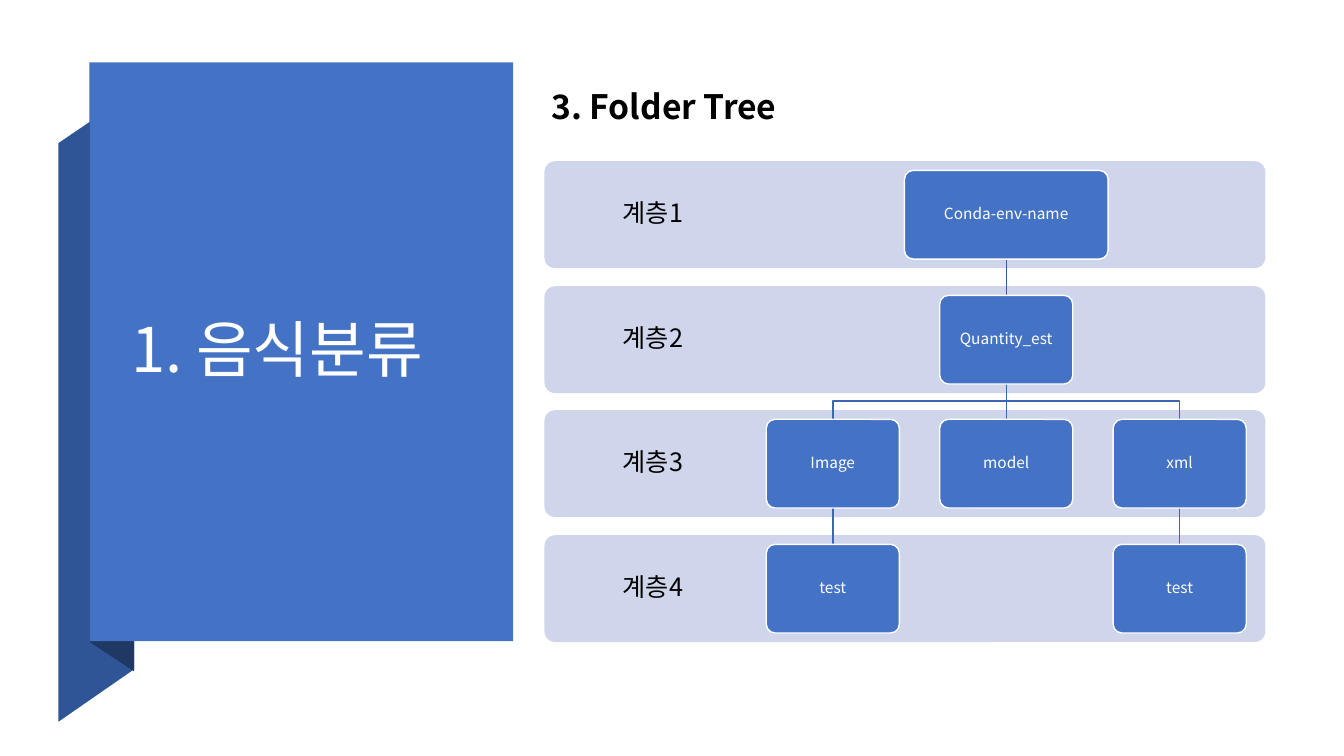
from lxml import etree
from pptx import Presentation
from pptx.dml.color import RGBColor
from pptx.enum.shapes import MSO_CONNECTOR, MSO_SHAPE
from pptx.enum.text import MSO_ANCHOR, MSO_AUTO_SIZE, PP_ALIGN
from pptx.oxml.ns import qn
from pptx.util import Pt

PX = 9144
FONT = "Noto Sans CJK KR"
RECTANGLE, ROUNDED = MSO_SHAPE.RECTANGLE, MSO_SHAPE.ROUNDED_RECTANGLE
STRAIGHT = MSO_CONNECTOR.STRAIGHT
LEFT, CENTER = PP_ALIGN.LEFT, PP_ALIGN.CENTER
MIDDLE, TOP = MSO_ANCHOR.MIDDLE, MSO_ANCHOR.TOP
NO_AUTOFIT = MSO_AUTO_SIZE.NONE

BLUE, WHITE, BLACK, BAND = "4472C4", "FFFFFF", "000000", "CFD5EA"
ROOT_LINK, LINK = "365B9D", "3E67B2"
NODE_HEIGHT = 88
NODES = {
    "root": ("Conda-env-name", 0, 0, 202, None),
    "quantity": ("Quantity_est", 1, 0, 132, "root"),
    "image": ("Image", 2, -1, 132, "quantity"),
    "model": ("model", 2, 0, 132, "quantity"),
    "xml": ("xml", 2, 1, 132, "quantity"),
    "image test": ("test", 3, -1, 132, "image"),
    "xml test": ("test", 3, 1, 132, "xml"),
}


def color(value):
    """Turn a hex string into a colour."""
    return RGBColor.from_string(value)


def scaled(*lengths):
    """Turn px lengths into EMU."""
    return [length * PX for length in lengths]


def band_top(level):
    """Return the top of the band for a level."""
    return round(160 + level * 371 / 3)


def node_place(name):
    """Return the centre and top of a node."""
    _, level, column, _, _ = NODES[name]
    return 998 + 172 * column, band_top(level) + 9


def write(shape, text, size, ink, align=CENTER, anchor=MIDDLE,
          margins=(10, 5, 10, 5), spacing=0.9, bold=False):
    """Put one formatted paragraph into a shape."""
    frame = shape.text_frame
    frame.word_wrap = True
    frame.auto_size = NO_AUTOFIT
    frame.vertical_anchor = anchor
    (frame.margin_left, frame.margin_top,
     frame.margin_right, frame.margin_bottom) = scaled(*margins)
    para = frame.paragraphs[0]
    para.text = text
    para.alignment = align
    para.line_spacing = spacing
    font = para.font
    font.size, font.bold, font.name = Pt(size), bold, FONT
    font.color.rgb = color(ink)
    latin = para._p.find(".//" + qn("a:latin"))
    east_asian = etree.Element(qn("a:ea"), typeface=FONT)
    latin.addnext(east_asian)


def add_panel(page, kind, place, fill, outline=None):
    """Add a filled preset shape."""
    shape = page.shapes.add_shape(kind, *scaled(*place))
    shape.shadow.inherit = False
    shape.fill.solid()
    shape.fill.fore_color.rgb = color(fill)
    if kind == ROUNDED:
        shape.adjustments[0] = 0.1
    if outline:
        shape.line.color.rgb = color(outline)
        shape.line.width = Pt(1)
    else:
        shape.line.fill.background()
    return shape


def add_outline(page, points, closed):
    """Add a freeform through the given points."""
    builder = page.shapes.build_freeform(*points[0], scale=PX)
    builder.add_line_segments(points[1:], close=closed)
    shape = builder.convert_to_shape()
    shape.shadow.inherit = False
    return shape


def add_fold(page, points, fill):
    """Add one folded face of the ribbon."""
    shape = add_outline(page, points, True)
    shape.fill.solid()
    shape.fill.fore_color.rgb = color(fill)
    shape.line.fill.background()


def add_link(page, parent, child):
    """Join a parent node to its child."""
    start_x, start_y = node_place(parent)
    end_x, end_y = node_place(child)
    start_y += NODE_HEIGHT
    if start_x == end_x:
        link = page.shapes.add_connector(
            STRAIGHT, *scaled(start_x, start_y, end_x, end_y))
        etree.SubElement(link._element.spPr, qn("a:effectLst"))
    else:
        middle = (start_y + end_y) // 2
        link = add_outline(page, [(start_x, start_y), (start_x, middle),
                                  (end_x, middle), (end_x, end_y)], False)
        link.fill.background()
    link.line.color.rgb = color(ROOT_LINK if parent == "root" else LINK)
    link.line.width = Pt(1)


def add_node(page, name):
    """Add a folder box of the tree."""
    text, _, _, width, _ = NODES[name]
    center, top = node_place(name)
    place = (center - width // 2, top, width, NODE_HEIGHT)
    node = add_panel(page, ROUNDED, place, BLUE, WHITE)
    write(node, text, 11, WHITE, margins=(8, 8, 8, 8))


def add_title(page, text):
    """Set the title in front of the ribbon."""
    title = page.shapes.title
    title.left, title.top, title.width, title.height = scaled(120, 97, 353, 506)
    write(title, text, 44, WHITE, align=LEFT)
    title._element.getparent().append(title._element)


def main():
    """Build the slide and save it."""
    deck = Presentation()
    deck.slide_width, deck.slide_height = scaled(1333, 750)
    page = deck.slides.add_slide(deck.slide_layouts[5])

    add_fold(page, [(58, 716), (133, 664), (133, 91), (58, 142)], "2F5597")
    add_fold(page, [(89, 637), (133, 666), (133, 90), (89, 62)], "203864")
    add_panel(page, RECTANGLE, (89, 62, 420, 574), BLUE)
    add_title(page, "1. 음식분류")

    for level in range(4):
        band = add_panel(page, ROUNDED, (540, band_top(level), 715, 106), BAND)
        write(band, f"계층{level + 1}", 18, BLACK, margins=(14, 14, 514, 14))
    for name, (_, _, _, _, parent) in NODES.items():
        if parent:
            add_link(page, parent, name)
    for name in NODES:
        add_node(page, name)

    heading = page.shapes.add_textbox(*scaled(537, 80, 543, 50))
    write(heading, "3. Folder Tree", 24, BLACK, align=LEFT, anchor=TOP,
          spacing=1.0, bold=True)
    deck.save("out.pptx")


if __name__ == "__main__":
    main()
